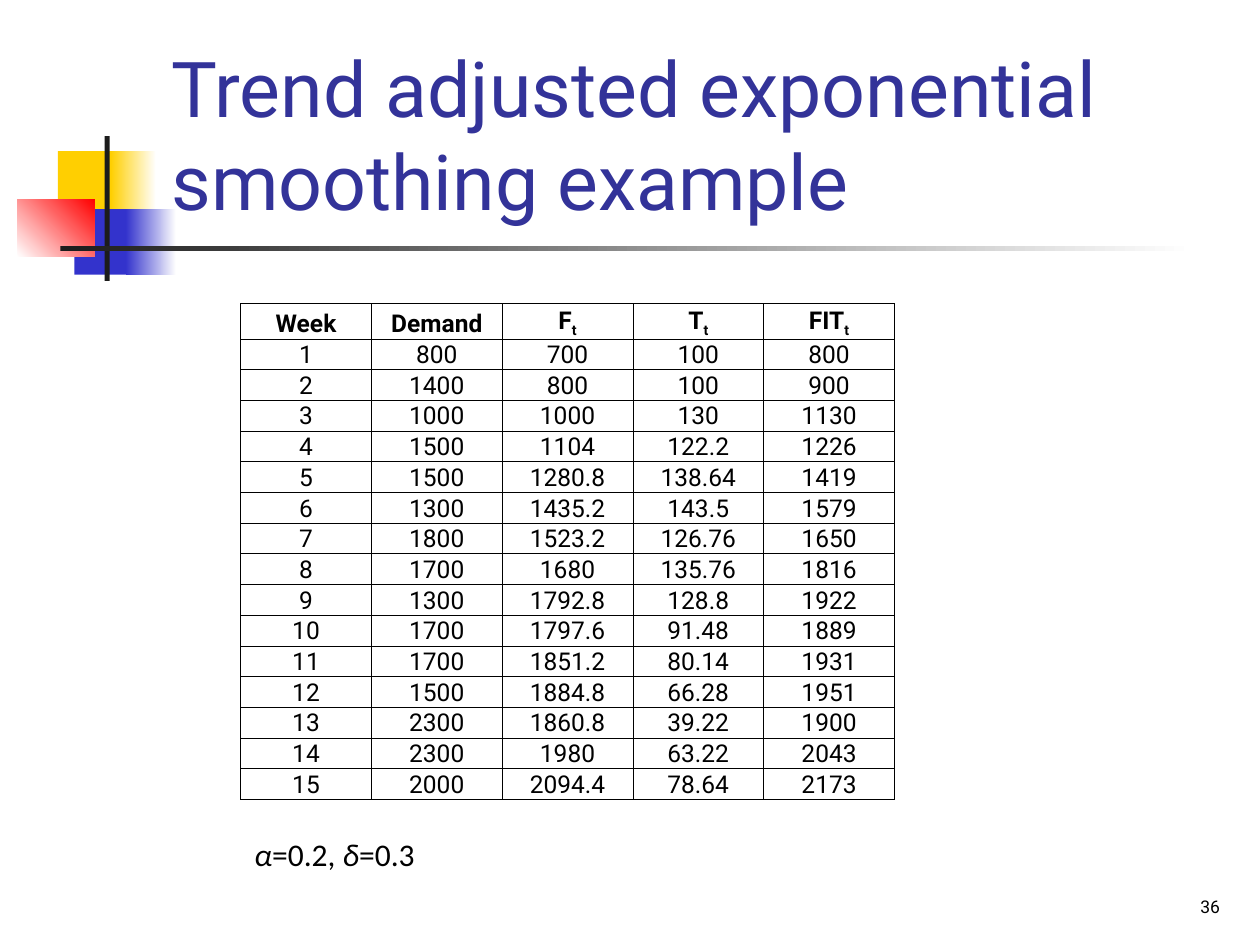
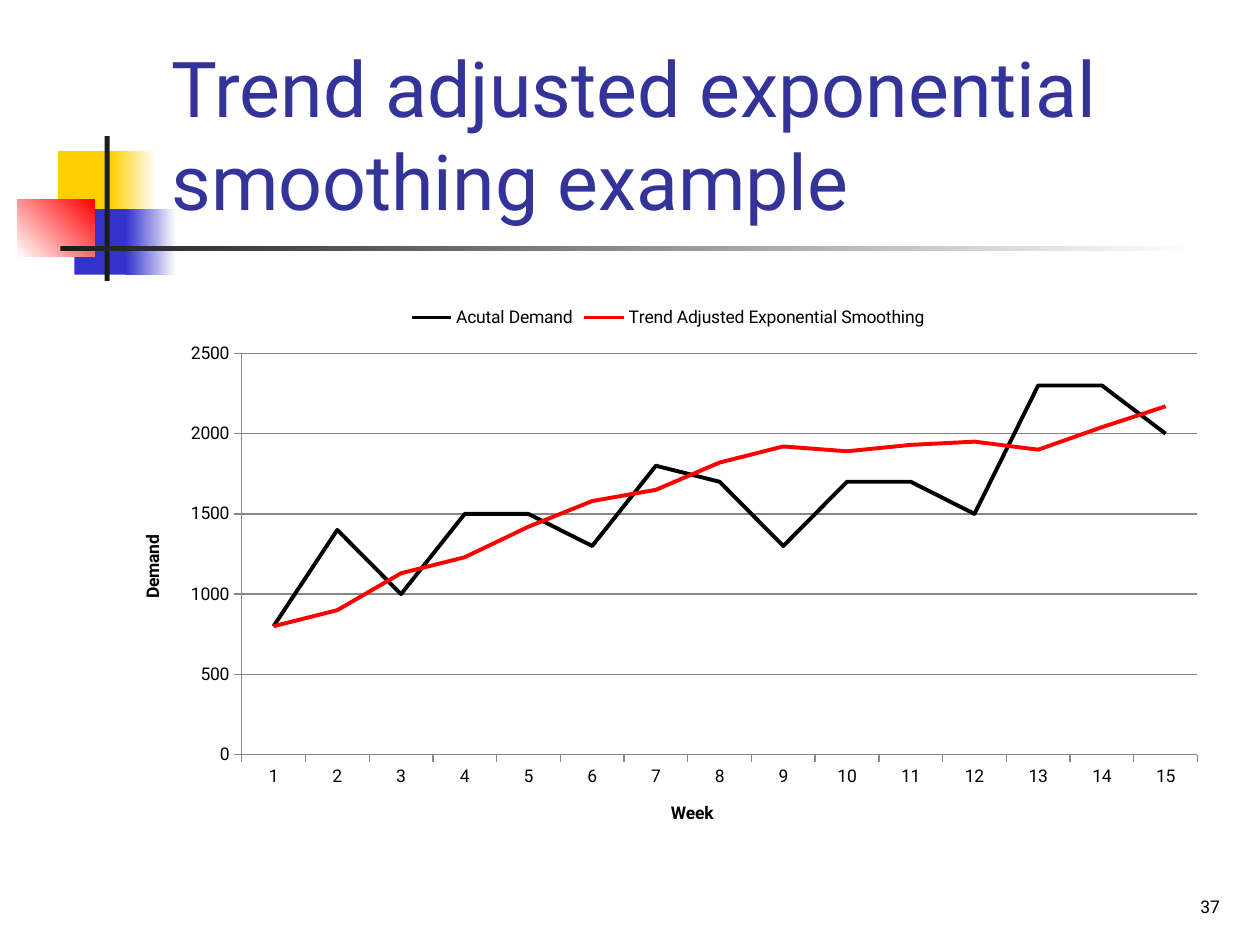
from dataclasses import dataclass

from lxml import etree
from pptx import Presentation
from pptx import util as u
from pptx.chart import data as cd
from pptx.dml.color import RGBColor
from pptx.enum import chart as ch
from pptx.enum import shapes, text
from pptx.oxml.ns import qn

PX = 9144  # 100 px to the inch
FONT = "Roboto"
HUES = {
    "gold": "FFCF01",
    "blue": "3333CC",
    "red": "FF0000",
    "ink": "1C1C1C",
    "title": "333399",
    "black": "000000",
    "white": "FFFFFF",
    "grid": "878787",
}
TITLE = "Trend adjusted exponential smoothing example"
HEADS = ["Week", "Demand", "F_t", "T_t", "FIT_t"]  # "_" starts a subscript
DEMAND = [800, 1400, 1000, 1500, 1500, 1300, 1800, 1700,
          1300, 1700, 1700, 1500, 2300, 2300, 2000]
LEVEL = [700, 800, 1000, 1104, 1280.8, 1435.2, 1523.2, 1680,
         1792.8, 1797.6, 1851.2, 1884.8, 1860.8, 1980, 2094.4]
TREND = [100, 100, 130, 122.2, 138.64, 143.5, 126.76, 135.76,
         128.8, 91.48, 80.14, 66.28, 39.22, 63.22, 78.64]
FIT = [800, 900, 1130, 1226, 1419, 1579, 1650, 1816,
       1922, 1889, 1931, 1951, 1900, 2043, 2173]
WEEKS = range(1, len(DEMAND) + 1)


@dataclass(frozen=True)
class Box:
    x: int
    y: int
    w: int
    h: int

    def emu(self) -> tuple[int, ...]:
        return tuple(n * PX for n in (self.x, self.y, self.w, self.h))


@dataclass(frozen=True)
class Block:
    box: Box
    start: str
    end: str = ""  # empty for a solid fill
    angle: int = 0


BLOCKS = [
    Block(Box(46, 120, 48, 52), "gold"),
    Block(Box(88, 120, 36, 52), "gold", "white"),
    Block(Box(59, 166, 46, 52), "blue"),
    Block(Box(100, 166, 40, 52), "blue", "white"),
    Block(Box(14, 158, 61, 46), "white", "red", 45),
    Block(Box(83, 108, 4, 115), "ink"),
    Block(Box(48, 195, 900, 4), "ink", "white"),
]


def rgb(hue: str) -> RGBColor:
    return RGBColor.from_string(HUES[hue])


def style(font, size: int, hue: str = "black", bold: bool = False,
          name: str = FONT) -> None:
    font.name, font.size, font.bold = name, u.Pt(size), bold
    font.color.rgb = rgb(hue)


# Shared parts
def draw(slide, block: Block) -> None:
    shape = slide.shapes.add_shape(shapes.MSO_SHAPE.RECTANGLE, *block.box.emu())
    shape.shadow.inherit = False
    shape.line.fill.background()
    fill = shape.fill
    if not block.end:
        fill.solid()
        fill.fore_color.rgb = rgb(block.start)
        return
    fill.gradient()
    fill.gradient_angle = block.angle
    for stop, hue in zip(fill.gradient_stops, (block.start, block.end)):
        stop.color.rgb = rgb(hue)


def label(slide, box: Box):
    frame = slide.shapes.add_textbox(*box.emu()).text_frame
    frame.word_wrap = True
    return frame


def start(deck, number: int):
    slide = deck.slides.add_slide(deck.slide_layouts.get_by_name("Title Only"))
    for block in BLOCKS:
        draw(slide, block)

    # Title, in front of the blocks
    title = slide.shapes.title
    slide.shapes.element.append(title.element)
    title.left, title.top, title.width, title.height = Box(126, 23, 852, 161).emu()
    frame = title.text_frame
    frame.text = TITLE
    frame.word_wrap = True
    frame.auto_size = text.MSO_AUTO_SIZE.NONE
    frame.vertical_anchor = text.MSO_ANCHOR.BOTTOM
    para = frame.paragraphs[0]
    para.alignment = text.PP_ALIGN.LEFT
    style(para.font, 44, "title")

    # Slide number
    frame = label(slide, Box(770, 683, 208, 50))
    frame.text = str(number)
    frame.vertical_anchor = text.MSO_ANCHOR.BOTTOM
    para = frame.paragraphs[0]
    para.alignment = text.PP_ALIGN.RIGHT
    style(para.font, 10)
    return slide


# Table
def edge(cell) -> None:
    props = cell._tc.get_or_add_tcPr()
    for i, side in enumerate(("lnL", "lnR", "lnT", "lnB")):
        line = etree.Element(qn(f"a:{side}"), w=str(u.Pt(0.5)))
        fill = etree.SubElement(line, qn("a:solidFill"))
        etree.SubElement(fill, qn("a:srgbClr"), val=HUES["black"])
        props.insert(i, line)


def write(cell, words: str, bold: bool) -> None:
    cell.margin_left = cell.margin_right = cell.margin_top = PX
    cell.margin_bottom = 0
    cell.vertical_anchor = text.MSO_ANCHOR.BOTTOM
    cell.fill.background()
    edge(cell)
    para = cell.text_frame.paragraphs[0]
    para.alignment = text.PP_ALIGN.CENTER
    style(para.font, 14, bold=bold)
    base, _, sub = words.partition("_")
    para.add_run().text = base
    if sub:
        run = para.add_run()
        run.text = sub
        run._r.get_or_add_rPr().set("baseline", "-25000")


def fill_table(slide) -> None:
    rows = [HEADS, *zip(WEEKS, DEMAND, LEVEL, TREND, FIT)]
    box, head = Box(191, 241, 519, 394), 28
    table = slide.shapes.add_table(len(rows), len(HEADS), *box.emu()).table
    table.first_row = table.horz_banding = False
    for col in table.columns:
        col.width = box.w * PX // len(HEADS)
    for r, row in enumerate(rows):
        table.rows[r].height = (box.h - head) * PX // len(WEEKS) if r else head * PX
        for c, value in enumerate(row):
            write(table.cell(r, c), str(value), bold=r == 0)


def note(slide) -> None:
    para = label(slide, Box(192, 658, 225, 40)).paragraphs[0]
    style(para.font, 18, name="Calibri")
    for words, slant in (("α", True), ("=0.2, ", False), ("δ", True), ("=0.3", False)):
        run = para.add_run()
        run.text = words
        run.font.italic = slant


# Chart
def place(node, index: int, **spots: float) -> None:
    """Give a chart part a manual layout, in shares of the chart."""
    old = node.find(qn("c:layout"))
    if old is not None:
        node.remove(old)
    layout = etree.Element(qn("c:layout"))
    manual = etree.SubElement(layout, qn("c:manualLayout"))
    if "w" in spots:
        etree.SubElement(manual, qn("c:layoutTarget"), val="inner")
    for key in "xy":
        etree.SubElement(manual, qn(f"c:{key}Mode"), val="edge")
    for key, value in spots.items():
        etree.SubElement(manual, qn(f"c:{key}"), val=str(value))
    node.insert(index, layout)


def set_axis(axis, name: str, x: float, y: float) -> None:
    axis.major_tick_mark = ch.XL_TICK_MARK.OUTSIDE
    axis.minor_tick_mark = ch.XL_TICK_MARK.NONE
    axis.format.line.color.rgb = rgb("grid")
    style(axis.tick_labels.font, 10)
    frame = axis.axis_title.text_frame
    frame.text = name
    style(frame.paragraphs[0].font, 10, bold=True)
    place(axis.axis_title.element, 1, x=x, y=y)


def plot(slide) -> None:
    data = cd.CategoryChartData()
    data.categories = [str(week) for week in WEEKS]
    data.add_series("Acutal Demand", DEMAND)
    data.add_series("Trend Adjusted Exponential Smoothing",
                    [round(value, -1) for value in FIT])
    chart = slide.shapes.add_chart(
        ch.XL_CHART_TYPE.LINE, *Box(92, 233, 876, 440).emu(), data).chart
    style(chart.font, 10)
    chart.has_title = False
    chart.has_legend = True
    chart.legend.position = ch.XL_LEGEND_POSITION.TOP
    chart.legend.include_in_layout = False
    style(chart.legend.font, 10)
    place(chart.element.find(".//" + qn("c:plotArea")), 0,
          x=0.114, y=0.108, w=0.866, h=0.724)

    set_axis(chart.category_axis, "Week", 0.5, 0.91)
    axis = chart.value_axis
    set_axis(axis, "Demand", 0.02, 0.43)
    axis.minimum_scale, axis.maximum_scale, axis.major_unit = 0, 2500, 500
    axis.has_major_gridlines = True
    axis.major_gridlines.format.line.color.rgb = rgb("grid")

    chart.plots[0].vary_by_categories = False
    for line, hue in zip(chart.plots[0].series, ("black", "red")):
        line.smooth = False
        line.format.line.color.rgb = rgb(hue)
        line.format.line.width = u.Pt(2.25)


def main() -> None:
    deck = Presentation()
    deck.slide_width, deck.slide_height = 1000 * PX, 750 * PX
    slide = start(deck, 36)
    note(slide)
    fill_table(slide)
    plot(start(deck, 37))
    deck.save("out.pptx")


if __name__ == "__main__":
    main()
